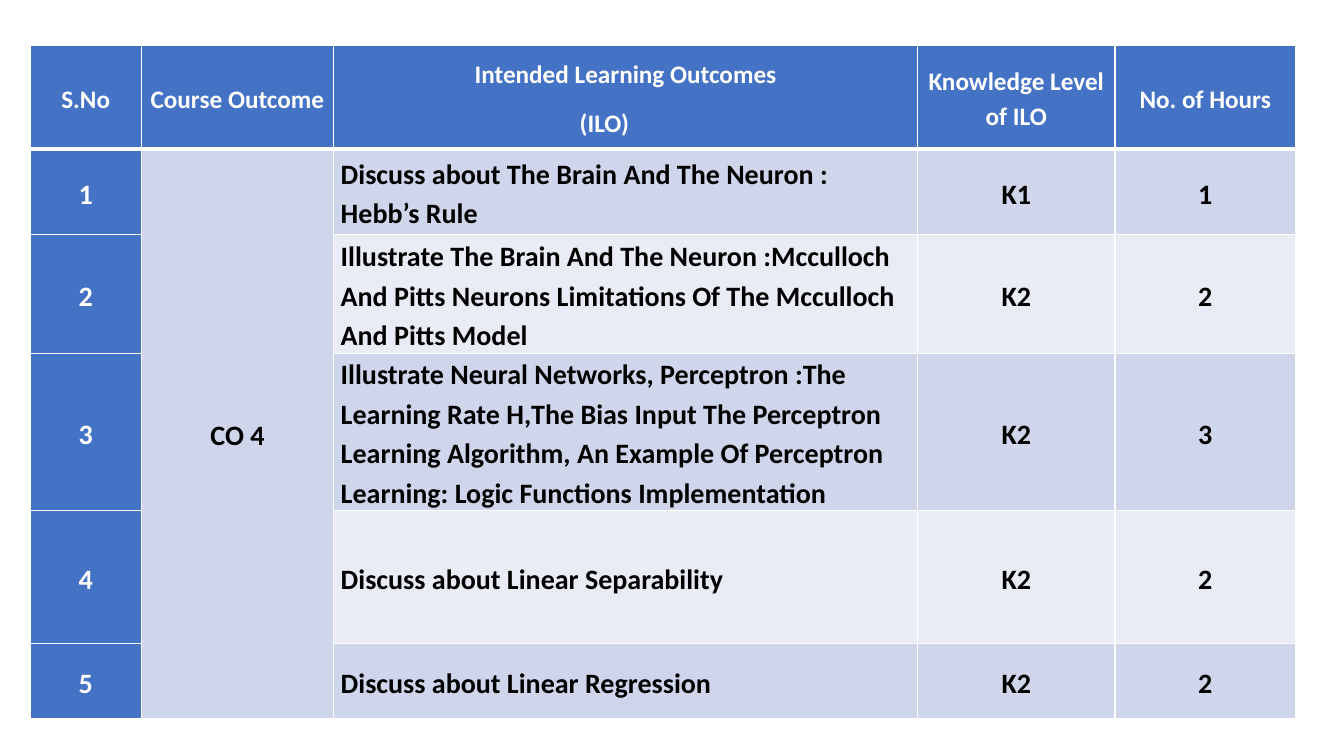
from lxml.etree import SubElement
from pptx import Presentation
from pptx.dml.color import RGBColor
from pptx.enum.text import MSO_ANCHOR, PP_ALIGN
from pptx.oxml.ns import qn
from pptx.util import Emu, Pt

BLUE, BAND, LIGHT = "4472C4", "CFD5EA", "E9EBF5"
WHITE, BLACK = "FFFFFF", "000000"


def px(n):
    """100 px to the inch."""
    return Emu(n * 9144)


def rgb(hex_color):
    return RGBColor.from_string(hex_color)


class Deck:
    font = "Calibri"

    def __init__(self, width, height):
        self.prs = Presentation()
        self.prs.slide_width, self.prs.slide_height = px(width), px(height)

    def add_slide(self):
        self.s = self.prs.slides.add_slide(self.prs.slide_layouts[6])

    def table(self, x, y, h, cols, rows):
        frame = self.s.shapes.add_table(len(rows), len(cols), px(x), px(y),
                                        px(sum(cols)), px(h))
        tbl = frame.table
        tbl.first_row = tbl.horz_banding = False
        for col, width in zip(tbl.columns, cols):
            col.width = px(width)
        for row, height in zip(tbl.rows, rows):
            row.height = px(height)
        frame.height = px(h)  # rows grow with their text
        return tbl

    def borders(self, cell, top=1, bottom=1):
        tcPr = cell._tc.get_or_add_tcPr()
        for side, width in (("L", 1), ("R", 1), ("T", top), ("B", bottom)):
            ln = SubElement(tcPr, qn(f"a:ln{side}"), w=str(Pt(width)))
            fill = SubElement(ln, qn("a:solidFill"))
            SubElement(fill, qn("a:srgbClr"), val=WHITE)

    def cell(self, cell, text, size, color, fill, align=PP_ALIGN.CENTER):
        cell.fill.solid()
        cell.fill.fore_color.rgb = rgb(fill)
        cell.vertical_anchor = MSO_ANCHOR.MIDDLE
        cell.margin_left = cell.margin_right = px(7)
        cell.margin_top = cell.margin_bottom = 0
        cell.text = text
        for p in cell.text_frame.paragraphs:
            p.alignment = align
            p.line_spacing = 1.15
            p.space_after = Pt(10)
            p.font.name, p.font.size, p.font.bold = self.font, Pt(size), True
            p.font.color.rgb = rgb(color)


HEADERS = ["S.No", "Course Outcome", "Intended Learning Outcomes\n(ILO)",
           "Knowledge Level of ILO", "No. of Hours"]
OUTCOMES = [
    ("Discuss about The Brain And The Neuron : Hebb’s Rule", "K1", "1"),
    ("Illustrate The Brain And The Neuron :Mcculloch And Pitts Neurons "
     "Limitations Of The Mcculloch And Pitts Model", "K2", "2"),
    ("Illustrate Neural Networks, Perceptron :The Learning Rate Η,The Bias "
     "Input The Perceptron Learning Algorithm, An Example Of Perceptron "
     "Learning: Logic Functions Implementation", "K2", "3"),
    ("Discuss about Linear Separability", "K2", "2"),
    ("Discuss about Linear Regression", "K2", "2"),
]


def main():
    deck = Deck(1333, 750)
    deck.add_slide()
    tbl = deck.table(30, 45, 660, cols=[110, 191, 579, 196, 179],
                     rows=[103, 85, 103, 85, 132, 74])

    # White grid, heavier under the header
    for i, row in enumerate(tbl.rows):
        for cell in row.cells:
            deck.borders(cell, top=3 if i == 1 else 1, bottom=3 if i == 0 else 1)

    # Header row; "(ILO)" is indented from the left
    for j, text in enumerate(HEADERS):
        deck.cell(tbl.cell(0, j), text, 18, WHITE, BLUE)
    ilo = tbl.cell(0, 2).text_frame.paragraphs[1]
    ilo.alignment = PP_ALIGN.LEFT
    ilo._p.get_or_add_pPr().set("marL", str(px(237)))

    # One banded row per learning outcome
    for i, (outcome, level, hours) in enumerate(OUTCOMES, 1):
        band = BAND if i % 2 else LIGHT
        deck.cell(tbl.cell(i, 0), str(i), 20, WHITE, BLUE)
        deck.cell(tbl.cell(i, 2), outcome, 20, BLACK, band, PP_ALIGN.LEFT)
        deck.cell(tbl.cell(i, 3), level, 20, BLACK, band)
        deck.cell(tbl.cell(i, 4), hours, 20, BLACK, band)

    # Course outcome shared by all rows
    tbl.cell(1, 1).merge(tbl.cell(len(OUTCOMES), 1))
    deck.cell(tbl.cell(1, 1), "CO 4", 20, BLACK, BAND)

    deck.prs.save("out.pptx")


if __name__ == "__main__":
    main()
